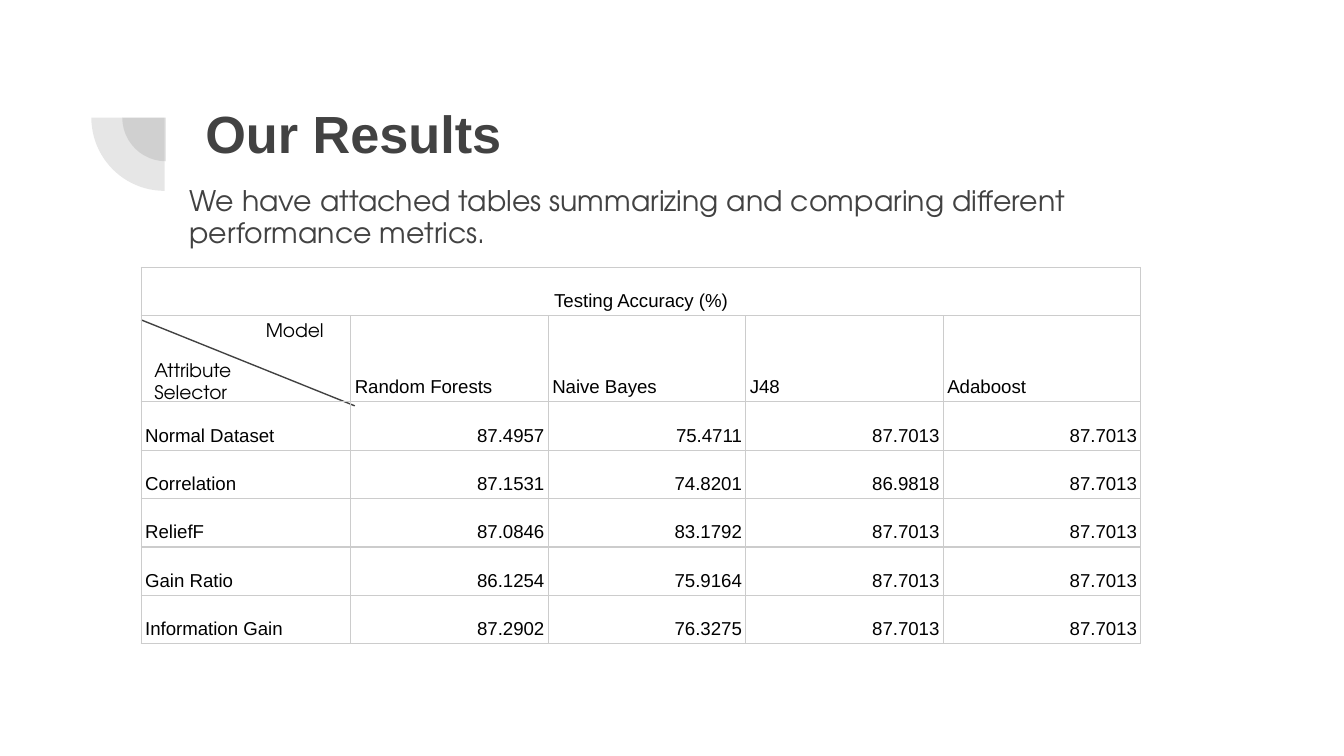
from dataclasses import dataclass

from lxml import etree
from pptx import Presentation
from pptx import util as u
from pptx.dml.color import RGBColor
from pptx.enum import shapes, text
from pptx.oxml import ns


@dataclass(frozen=True)
class Theme:
    dark: str = "424242"
    black: str = "000000"
    grid: str = "CCCCCC"
    background: str = "FFFFFF"
    sans: str = "Arial"
    geometric: str = "TeX Gyre Adventor"
    title_size: float = 28
    body_size: float = 15.2
    table_size: float = 10
    line_width: float = 0.75
    pie_opacity: int = 13


@dataclass(frozen=True)
class Label:
    words: str
    left: float
    top: float
    width: float
    height: float
    size: float
    font: str
    color: str
    bold: bool = False
    spacing: float = 1.0


THEME = Theme()
PAGE_WIDTH = 10
PAGE_HEIGHT = PAGE_WIDTH * 9 / 16

LABELS = [
    Label("Our Results", 1.43, 0.65, 7.69, 1.09,
          THEME.title_size, THEME.sans, THEME.dark, bold=True),
    Label("We have attached tables summarizing and comparing different performance metrics.",
          1.31, 1.28, 7.69, 0.57,
          THEME.body_size, THEME.geometric, THEME.dark, spacing=0.95),
    Label("Model", 1.88, 2.29, 1.07, 0.37,
          THEME.table_size, THEME.geometric, THEME.black),
    Label("Attribute Selector", 1.05, 2.57, 1.07, 0.54,
          THEME.table_size, THEME.geometric, THEME.black),
]

TABLE_TITLE = "Testing Accuracy (%)"
MODELS = ["Random Forests", "Naive Bayes", "J48", "Adaboost"]
ACCURACY = {
    "Normal Dataset": ["87.4957", "75.4711", "87.7013", "87.7013"],
    "Correlation": ["87.1531", "74.8201", "86.9818", "87.7013"],
    "ReliefF": ["87.0846", "83.1792", "87.7013", "87.7013"],
    "Gain Ratio": ["86.1254", "75.9164", "87.7013", "87.7013"],
    "Information Gain": ["87.2902", "76.3275", "87.7013", "87.7013"],
}
TABLE_LEFT, TABLE_TOP = 1.05, 1.99
COLUMN_WIDTHS = [1.56] + [1.47] * len(MODELS)
ROW_HEIGHTS = [0.36, 0.64] + [0.36] * len(ACCURACY)


def style_paragraph(para, size: float, font: str, color: str,
                    bold: bool = False, spacing: float = 1.0) -> None:
    para.font.size = u.Pt(size)
    para.font.name = font
    para.font.bold = bold
    para.font.color.rgb = RGBColor.from_string(color)
    para.line_spacing = spacing


def add_quarter(page, left: float, top: float, size: float) -> None:
    pie = page.shapes.add_shape(shapes.MSO_SHAPE.PIE, u.Inches(left), u.Inches(top),
                                u.Inches(size), u.Inches(size))
    pie.adjustments[0], pie.adjustments[1] = 108, 162
    pie.rotation = 270
    pie.shadow.inherit = False
    pie.line.fill.background()
    pie.fill.solid()
    pie.fill.fore_color.rgb = RGBColor.from_string(THEME.dark)
    color = pie._element.spPr.find(".//" + ns.qn("a:srgbClr"))
    etree.SubElement(color, ns.qn("a:alpha"), val=str(THEME.pie_opacity * 1000))


def add_label(page, label: Label) -> None:
    box = page.shapes.add_textbox(u.Inches(label.left), u.Inches(label.top),
                                  u.Inches(label.width), u.Inches(label.height))
    frame = box.text_frame
    frame.word_wrap = True
    frame.margin_left = frame.margin_right = u.Inches(0.1)
    frame.margin_top = frame.margin_bottom = u.Inches(0.1)
    para = frame.paragraphs[0]
    para.text = label.words
    style_paragraph(para, label.size, label.font, label.color, label.bold, label.spacing)


def add_diagonal(page) -> None:
    line = page.shapes.add_connector(shapes.MSO_CONNECTOR.STRAIGHT,
                                     u.Inches(2.64), u.Inches(3.02),
                                     u.Inches(1.05), u.Inches(2.38))
    line.line.color.rgb = RGBColor.from_string(THEME.dark)
    line.line.width = u.Pt(THEME.line_width)
    etree.SubElement(line._element.spPr, ns.qn("a:effectLst"))


def set_borders(cell) -> None:
    properties = cell._tc.get_or_add_tcPr()
    for position, side in enumerate(("lnL", "lnR", "lnT", "lnB")):
        border = etree.Element(ns.qn("a:" + side), w=str(u.Pt(THEME.line_width)))
        fill = etree.SubElement(border, ns.qn("a:solidFill"))
        etree.SubElement(fill, ns.qn("a:srgbClr"), val=THEME.grid)
        properties.insert(position, border)


def fill_cell(cell, words: str, align: text.PP_ALIGN) -> None:
    cell.vertical_anchor = text.MSO_ANCHOR.BOTTOM
    cell.margin_left = cell.margin_right = u.Inches(0.03)
    cell.margin_top = cell.margin_bottom = u.Inches(0.03)
    cell.fill.background()
    set_borders(cell)
    para = cell.text_frame.paragraphs[0]
    para.text = words
    para.alignment = align
    style_paragraph(para, THEME.table_size, THEME.sans, THEME.black, spacing=1.15)


def add_results(page) -> None:
    rows = [[TABLE_TITLE] + [""] * len(MODELS), [""] + MODELS]
    rows += [[selector] + values for selector, values in ACCURACY.items()]
    table = page.shapes.add_table(len(rows), len(COLUMN_WIDTHS),
                                  u.Inches(TABLE_LEFT), u.Inches(TABLE_TOP),
                                  u.Inches(sum(COLUMN_WIDTHS)),
                                  u.Inches(sum(ROW_HEIGHTS))).table
    table.first_row = table.horz_banding = False
    for column, width in zip(table.columns, COLUMN_WIDTHS):
        column.width = u.Inches(width)
    for row, height in zip(table.rows, ROW_HEIGHTS):
        row.height = u.Inches(height)
    for r, row_words in enumerate(rows):
        for c, words in enumerate(row_words):
            if r == 0:
                align = text.PP_ALIGN.CENTER
            elif r > 1 and c > 0:
                align = text.PP_ALIGN.RIGHT
            else:
                align = text.PP_ALIGN.LEFT
            fill_cell(table.cell(r, c), words, align)
    table.cell(0, 0).merge(table.cell(0, len(MODELS)))


def main() -> None:
    deck = Presentation()
    deck.slide_width, deck.slide_height = u.Inches(PAGE_WIDTH), u.Inches(PAGE_HEIGHT)
    page = deck.slides.add_slide(deck.slide_layouts[6])
    page.background.fill.solid()
    page.background.fill.fore_color.rgb = RGBColor.from_string(THEME.background)

    # Corner ornament: two concentric quarter circles
    add_quarter(page, 0.91, 0.55, 0.65)
    add_quarter(page, 0.68, 0.33, 1.09)

    # Heading, introduction and the split header cell
    add_diagonal(page)
    for label in LABELS:
        add_label(page, label)

    # Accuracy table
    add_results(page)
    deck.save("out.pptx")


if __name__ == "__main__":
    main()
